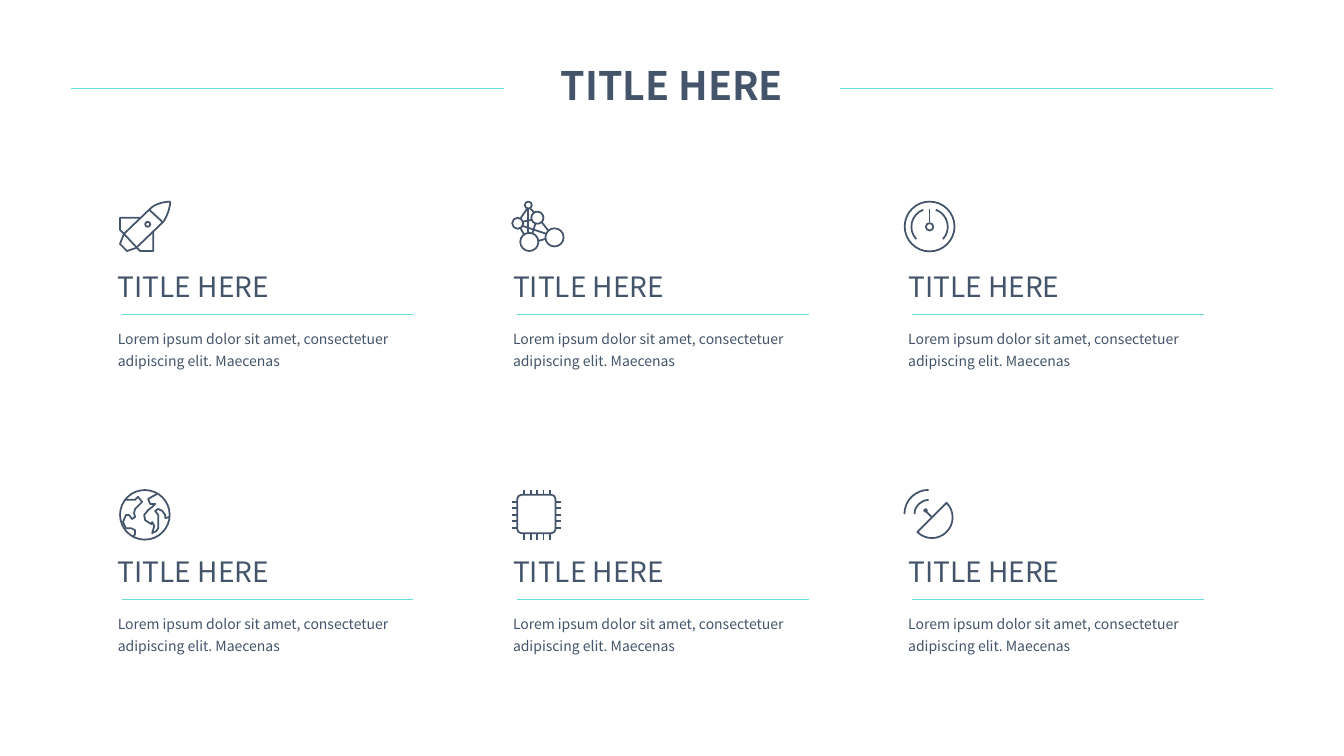
from dataclasses import dataclass
from math import ceil, cos, radians, sin, tan

from pptx import Presentation
from pptx.dml.color import RGBColor
from pptx.enum.shapes import MSO_CONNECTOR
from pptx.enum.text import MSO_AUTO_SIZE, PP_ALIGN
from pptx.oxml.ns import qn
from pptx.util import Inches, Pt

STRAIGHT = MSO_CONNECTOR.STRAIGHT
GROW = MSO_AUTO_SIZE.SHAPE_TO_FIT_TEXT
LEFT, CENTER = PP_ALIGN.LEFT, PP_ALIGN.CENTER

SLATE = RGBColor(0x44, 0x54, 0x6A)
TEAL = RGBColor(0x66, 0xDD, 0xD5)
FONT = "Noto Sans CJK SC"

TITLE = "TITLE HERE"
BODY = "Lorem ipsum dolor sit amet, consectetuer adipiscing elit. Maecenas"
TITLE_FORMAT = {"size": Pt(28), "bold": True}
HEADING_FORMAT = {"size": Pt(20)}
BODY_FORMAT = {"size": Pt(10)}

Points = list[tuple[float, float]]


@dataclass
class Stroke:
    """One outline of an icon, in hundredths of an inch.

    A curved stroke lists two control points and an end for each piece.
    """
    points: Points
    closed: bool = False
    curved: bool = False


@dataclass
class Card:
    col: int
    row: int
    icon: list[Stroke]


# Icon geometry
def arc_points(cx: float, cy: float, r: float, start: float, end: float) -> Points:
    pieces = ceil(abs(end - start) / 120)
    step = radians(end - start) / pieces
    k = 4 / 3 * tan(step / 4)
    points = [(cx + r * cos(radians(start)), cy + r * sin(radians(start)))]
    for i in range(pieces):
        a = radians(start) + i * step
        b = a + step
        points += [(cx + r * (cos(a) - k * sin(a)), cy + r * (sin(a) + k * cos(a))),
                   (cx + r * (cos(b) + k * sin(b)), cy + r * (sin(b) - k * cos(b))),
                   (cx + r * cos(b), cy + r * sin(b))]
    return points


def arc(cx: float, cy: float, r: float, start: float, end: float,
        closed: bool = False) -> Stroke:
    return Stroke(arc_points(cx, cy, r, start, end), closed, True)


def circle(cx: float, cy: float, r: float) -> Stroke:
    quarters = [arc_points(cx, cy, r, a, a + 90) for a in (0, 90, 180, 270)]
    return Stroke(quarters[0][:1] + [pt for q in quarters for pt in q[1:]],
                  True, True)


def rocket() -> list[Stroke]:
    return [
        Stroke([(50, 0), (49, 12), (43, 20), (43, 20)], curved=True),
        Stroke([(50, 0), (50, 0), (36, 0), (29, 8)], curved=True),
        Stroke([(43, 20), (16, 46), (7, 49), (0, 42), (4, 32), (29, 8), (43, 21)]),
        Stroke([(20, 16), (0, 16), (0, 28), (4, 32), (17, 46), (20, 49),
                (33, 49), (33, 30)]),
        circle(27.5, 22.5, 2.5),
    ]


def molecule() -> list[Stroke]:
    atoms = [(16, 3.5, 3.5), (5.5, 21.5, 5.5), (17, 40, 9), (25, 16, 6),
             (42, 35.5, 9)]
    bonds = [[(33, 37), (26, 39)], [(10, 20), (20, 18)], [(20, 32), (23, 22)],
             [(12, 33), (8, 26)], [(34, 32), (10, 24)], [(15, 7), (8, 17)],
             [(36, 29), (29, 20)], [(16, 31), (16, 7)], [(18, 7), (22, 11)]]
    return [circle(*a) for a in atoms] + [Stroke(b) for b in bonds]


def gauge() -> list[Stroke]:
    return [
        circle(25, 24.7, 24.7),
        circle(25, 25, 3.7),
        arc(25, 25, 18, 43, -70),
        arc(25, 25, 18, 137, 250),
        Stroke([(25, 7), (25, 20)]),
    ]


def globe() -> list[Stroke]:
    west = [(13, 47), (15, 44), (15, 40), (11, 38), (6, 38), (3, 32), (6, 25),
            (9, 25), (12, 29), (15, 27), (14, 23), (15, 19), (22, 12), (18, 7),
            (15, 10), (5, 10)]
    east = [(37, 4), (28, 9), (30, 14), (35, 14), (32, 17), (28, 20), (24, 25),
            (25, 30), (31, 34), (32, 32), (34, 36), (32, 43), (36, 41),
            (38, 38), (38, 25), (35, 21), (38, 19), (42, 21), (45, 25),
            (45, 28), (49, 27)]
    return [circle(24.7, 24.8, 24.6), Stroke(west), Stroke(east)]


def chip() -> list[Stroke]:
    body: Points = []
    for cx, cy, a in [(39, 39, 0), (9, 39, 90), (9, 9, 180), (39, 9, 270)]:
        corner = arc_points(cx, cy, 4, a, a + 90)
        # A straight side repeats its end as control points
        body += corner[:1] * 3 + corner[1:] if body else corner
    strokes = [Stroke(body, True, True)]
    for i in range(5):
        d = 12 + 6.4 * i
        strokes += [Stroke([(d, 0), (d, 5)]), Stroke([(d, 43), (d, 50)]),
                    Stroke([(0, d), (5, d)]), Stroke([(43, d), (48, d)])]
    return strokes


def dish() -> list[Stroke]:
    return [
        Stroke([(27, 27), (22, 22)]),
        circle(21, 20.5, 1.5),
        arc(24, 24, 14, 180, 270),
        arc(24, 24, 24, 180, 270),
        arc(27.3, 27.3, 20.5, -45, 135, closed=True),
    ]


# Drawing
def add_text(shapes, x: float, y: float, w: float, h: float, text: str,
             fmt: dict, align=LEFT, spacing: float = 1.0) -> None:
    tf = shapes.add_textbox(Inches(x), Inches(y), Inches(w), Inches(h)).text_frame
    tf.word_wrap = True
    tf.auto_size = GROW
    p = tf.paragraphs[0]
    p.alignment, p.line_spacing = align, spacing
    r = p.add_run()
    r.text = text
    for name, value in {"name": FONT, **fmt}.items():
        setattr(r.font, name, value)
    r.font.color.rgb = SLATE


def add_rule(shapes, x1: float, x2: float, y: float, width: float) -> None:
    line = shapes.add_connector(STRAIGHT, Inches(x1), Inches(y),
                                Inches(x2), Inches(y))
    line.line.color.rgb = TEAL
    line.line.width = Pt(width)
    pr = line._element.spPr
    pr.append(pr.makeelement(qn("a:effectLst"), {}))


def bend(outline, strokes: list[Stroke]) -> None:
    """Turn each three segments of a curved stroke into one Bézier piece."""
    nodes = iter(list(outline))
    for stroke in strokes:
        segments = [next(nodes) for _ in stroke.points][1:]
        if stroke.closed:
            next(nodes)
        if stroke.curved:
            for i in range(0, len(segments), 3):
                curve = outline.makeelement(qn("a:cubicBezTo"), {})
                segments[i].addprevious(curve)
                for segment in segments[i:i + 3]:
                    curve.append(segment[0])
                    outline.remove(segment)


def add_icon(shapes, x: float, y: float, strokes: list[Stroke]) -> None:
    builder = None
    for stroke in strokes:
        # The builder rounds to whole units, so work in thousandths
        first, *rest = [(px * 10, py * 10) for px, py in stroke.points]
        if builder is None:
            builder = shapes.build_freeform(*first, scale=Inches(1) / 1000)
        else:
            builder.move_to(*first)
        builder.add_line_segments(rest, close=stroke.closed)
    sp = builder.convert_to_shape(Inches(x), Inches(y))
    bend(next(sp._element.iter(qn("a:path"))), strokes)
    sp.shadow.inherit = False
    sp.fill.background()
    sp.line.color.rgb = SLATE
    sp.line.width = Pt(1.25)


def add_caption(shapes, card: Card) -> None:
    x, y = 1.07 + 3.92 * card.col, 2.62 + 2.83 * card.row
    add_text(shapes, x, y, 3.17, 0.44, TITLE, HEADING_FORMAT)
    add_text(shapes, x, y + 0.56, 3.17, 0.74, BODY, BODY_FORMAT, spacing=1.3)
    add_rule(shapes, x + 0.14, x + 3.03, y + 0.5, 1)


def main() -> None:
    prs = Presentation()
    prs.slide_width, prs.slide_height = Inches(13.33), Inches(7.5)
    s = prs.slides.add_slide(prs.slide_layouts[6])

    # Heading between two rules
    add_rule(s.shapes, 5, 0.7, 0.88, 0.5)
    add_rule(s.shapes, 12.63, 8.33, 0.88, 0.5)
    add_text(s.shapes, 5, 0.56, 3.33, 0.57, TITLE, TITLE_FORMAT, CENTER)

    # Grid of icons, each over a grouped caption
    icons = [rocket(), molecule(), gauge(), globe(), chip(), dish()]
    cards = [Card(i % 3, i // 3, icon) for i, icon in enumerate(icons)]
    for card in cards:
        add_icon(s.shapes, 1.19 + 3.89 * card.col, 2 + 2.86 * card.row, card.icon)
    for card in cards:
        add_caption(s.shapes.add_group_shape().shapes, card)

    prs.save("out.pptx")


if __name__ == "__main__":
    main()
